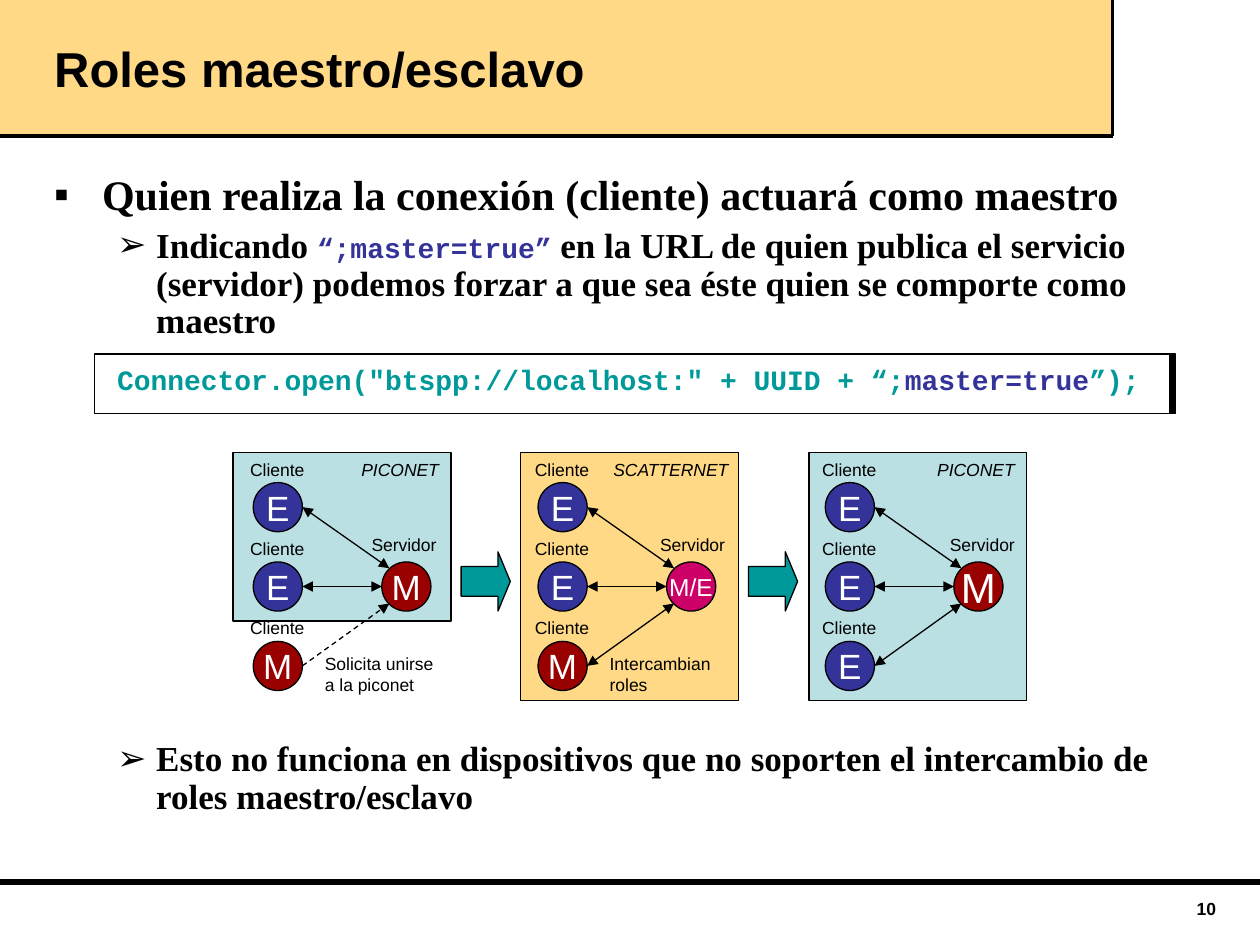
import dataclasses

import pptx
import pptx.dml.color
import pptx.enum.dml
import pptx.enum.shapes
import pptx.enum.text
import pptx.oxml
import pptx.oxml.ns
import pptx.util

Inches = pptx.util.Inches
Pt = pptx.util.Pt
SHAPE = pptx.enum.shapes.MSO_SHAPE
ALIGN = pptx.enum.text.PP_ALIGN
ANCHOR = pptx.enum.text.MSO_ANCHOR


@dataclasses.dataclass(frozen=True)
class Theme:
    black: str = "000000"
    white: str = "FFFFFF"
    sand: str = "FFD985"
    sky: str = "BBE0E3"
    blue: str = "333399"
    red: str = "990000"
    pink: str = "CC0066"
    teal: str = "009999"
    sans: str = "Arial"
    serif: str = "Times New Roman"
    mono: str = "Courier New"
    title: int = 28
    level1: int = 24
    level2: int = 20
    code: int = 16
    label: int = 10
    node: int = 20
    node_small: int = 14
    node_large: int = 24


T = Theme()
NODE = 0.39
ROWS = (3.83, 4.46, 5.09)
SERVER_DX = 1.02


@dataclasses.dataclass(frozen=True)
class Network:
    left: float
    client_x: float
    height: float
    fill: str
    name: str
    name_x: float
    server: tuple
    server_label_x: float
    clients: str
    note: str = ""
    joining: bool = False


NETWORKS = (
    Network(1.85, 2.01, 1.34, T.sky, "PICONET", 2.77, ("M", T.red, T.node),
            2.85, "EEM", "Solicita unirse a la piconet", True),
    Network(4.13, 4.27, 1.97, T.sand, "SCATTERNET", 4.77,
            ("M/E", T.pink, T.node_small), 5.14, "EEM", "Intercambian roles"),
    Network(6.42, 6.55, 1.97, T.sky, "PICONET", 7.34,
            ("M", T.red, T.node_large), 7.44, "EEE"),
)


def rgb(value):
    return pptx.dml.color.RGBColor.from_string(value)


def add_run(p, text, size=T.label, font=T.sans, color=T.black, bold=False, italic=False):
    r = p.add_run()
    r.text = text
    r.font.size = Pt(size)
    r.font.name = font
    r.font.bold = bold
    r.font.italic = italic
    r.font.color.rgb = rgb(color)


def add_box(s, kind, x, y, w, h, fill):
    sp = s.shapes.add_shape(kind, Inches(x), Inches(y), Inches(w), Inches(h))
    sp.shadow.inherit = False
    sp.fill.solid()
    sp.fill.fore_color.rgb = rgb(fill)
    sp.line.color.rgb = rgb(T.black)
    sp.line.width = Pt(0.75)
    return sp


def add_line(s, x1, y1, x2, y2, width=0.75, ends=(), dashed=False):
    sp = s.shapes.add_connector(pptx.enum.shapes.MSO_CONNECTOR.STRAIGHT,
                                Inches(x1), Inches(y1), Inches(x2), Inches(y2))
    sp.line.color.rgb = rgb(T.black)
    sp.line.width = Pt(width)
    if dashed:
        sp.line.dash_style = pptx.enum.dml.MSO_LINE.DASH
    ln = sp.line._get_or_add_ln()
    for end in ends:
        ln.append(pptx.oxml.parse_xml(
            f'<a:{end} {pptx.oxml.ns.nsdecls("a")} type="triangle"/>'))
    sp.element.spPr.append(pptx.oxml.parse_xml(
        f'<a:effectLst {pptx.oxml.ns.nsdecls("a")}/>'))


def add_label(s, text, x, y, w, h=0.27, align=ALIGN.LEFT, **fmt):
    tf = s.shapes.add_textbox(Inches(x), Inches(y), Inches(w), Inches(h)).text_frame
    tf.word_wrap = True
    p = tf.paragraphs[0]
    p.alignment = align
    add_run(p, text, **fmt)


def add_node(s, text, x, y, fill, size=T.node):
    tf = add_box(s, SHAPE.OVAL, x, y, NODE, NODE, fill).text_frame
    tf.word_wrap = False
    tf.vertical_anchor = ANCHOR.MIDDLE
    p = tf.paragraphs[0]
    p.alignment = ALIGN.CENTER
    add_run(p, text, size=size, color=T.white)


def add_network(s, net):
    add_box(s, SHAPE.RECTANGLE, net.left, 3.59, 1.73, net.height, net.fill)
    add_label(s, net.name, net.name_x, 3.59, 1.26, italic=True)
    server_x = net.client_x + SERVER_DX
    text, fill, size = net.server
    add_node(s, text, server_x, ROWS[1], fill, size)
    add_label(s, "Servidor", net.server_label_x, 4.19, 1.12)
    targets = ((0.06, 0.05), (0, NODE / 2), (0.06, 0.33))
    for i, (role, y, (dx, dy)) in enumerate(zip(net.clients, ROWS, targets)):
        joining = net.joining and i == 2
        add_node(s, role, net.client_x, y, T.blue if role == "E" else T.red)
        add_label(s, "Cliente", net.client_x - 0.32, y - 0.24, 1.02, align=ALIGN.CENTER)
        add_line(s, net.client_x + NODE, y + NODE / 2, server_x + dx, ROWS[1] + dy,
                 ends=("tailEnd",) if joining else ("headEnd", "tailEnd"),
                 dashed=joining)
    if net.note:
        add_label(s, net.note, net.client_x + 0.47, 5.13, 1.12, 0.44)


def place(sp, x, y, w, h, anchor):
    sp.left, sp.top, sp.width, sp.height = map(Inches, (x, y, w, h))
    sp.element.getparent().append(sp.element)
    tf = sp.text_frame
    tf.word_wrap = True
    tf.auto_size = pptx.enum.text.MSO_AUTO_SIZE.NONE
    tf.vertical_anchor = anchor
    return tf


def add_item(tf, runs, level=1, bullet="", before=0):
    p = tf.paragraphs[0] if not tf.paragraphs[0].runs else tf.add_paragraph()
    p.level = level
    p.line_spacing = 0.9
    p.space_before = Pt(before)
    margin, indent = ((0.38, -0.38), (0.81, -0.31))[level]
    pPr = p._p.get_or_add_pPr()
    pPr.set("marL", str(Inches(margin)))
    pPr.set("indent", str(Inches(indent)))
    tag = f'buChar char="{bullet}"' if bullet else "buNone"
    pPr.append(pptx.oxml.parse_xml(f'<a:{tag} {pptx.oxml.ns.nsdecls("a")}/>'.replace(
        f"<a:{tag} ", f"<a:{tag} ", 1)))
    for text, fmt in runs:
        add_run(p, text, bold=True, **fmt)


def add_frame(s):
    band = add_box(s, SHAPE.RECTANGLE, 0, 0, 8.83, 1.08, T.sand)
    band.line.fill.background()
    add_line(s, 0, 7, 10, 7, width=3)
    add_line(s, 0, 1.08, 8.83, 1.08, width=2)
    add_line(s, 8.83, 1.08, 8.83, 0, width=2)
    add_label(s, "10", 7.58, 7.08, 2.17, 0.25, align=ALIGN.RIGHT, bold=True)


def add_text(s):
    tf = place(s.shapes.title, 0.33, 0, 8.5, 1.08, ANCHOR.MIDDLE)
    tf.paragraphs[0].alignment = ALIGN.LEFT
    add_run(tf.paragraphs[0], "Roles maestro/esclavo", size=T.title, bold=True)

    head = dict(size=T.level1, font=T.serif)
    sub = dict(size=T.level2, font=T.serif)
    code = dict(size=T.code, font=T.mono, color=T.teal)
    key = dict(code, color=T.blue)
    tf = place(s.placeholders[1], 0.33, 1.33, 9.47, 5.57, ANCHOR.TOP)
    add_item(tf, [("Quien realiza la conexión (cliente) actuará como maestro", head)],
             level=0, bullet="▪")
    add_item(tf, [("Indicando ", sub), ("“;master=true”", key),
                  (" en la URL de quien publica el servicio (servidor) podemos forzar "
                   "a que sea éste quien se comporte como maestro", sub)],
             bullet="➢", before=5)
    add_item(tf, [('Connector.open("btspp://localhost:" + UUID + “;', code),
                  ("master=true", key), ("”);", code)], before=14.5)
    add_item(tf, [("Esto no funciona en dispositivos que no soporten el intercambio "
                   "de roles maestro/esclavo", sub)], bullet="➢", before=197)


def main():
    prs = pptx.Presentation()
    prs.slide_width, prs.slide_height = Inches(10), Inches(7.5)
    s = prs.slides.add_slide(prs.slide_layouts[1])
    add_frame(s)
    for x, fill in ((0.8, T.black), (0.75, T.white)):
        add_box(s, SHAPE.RECTANGLE, x, 2.81, 8.53, 0.47, fill)
    add_text(s)
    for net in NETWORKS:
        add_network(s, net)
    for x in (3.66, 5.94):
        arrow = add_box(s, SHAPE.RIGHT_ARROW, x, 4.38, NODE, 0.47, T.teal)
        arrow.adjustments[1] = 0.25
    prs.save("out.pptx")


if __name__ == "__main__":
    main()
